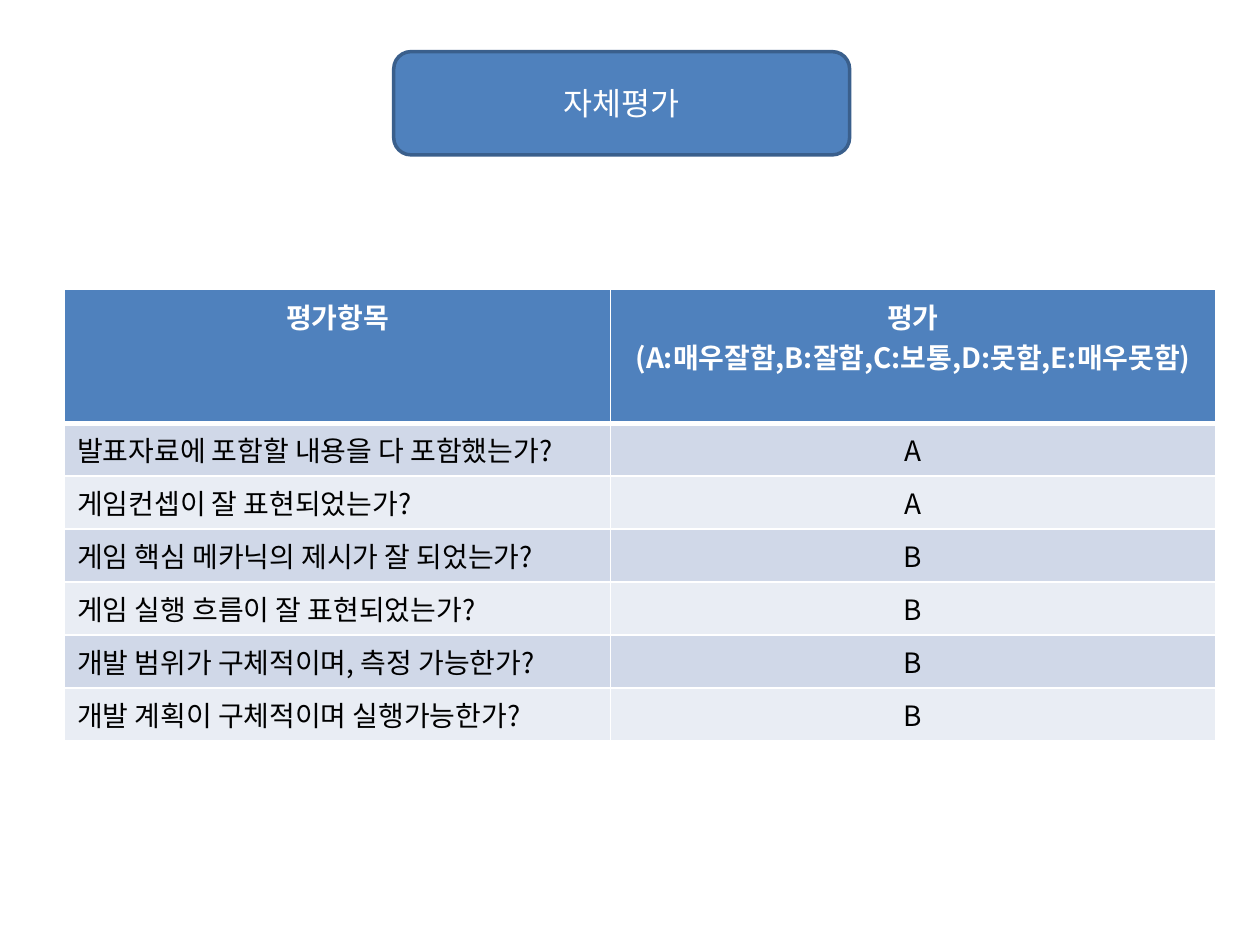
from typing import NamedTuple

from lxml.etree import SubElement
from pptx import Presentation
from pptx.dml.color import RGBColor
from pptx.enum.shapes import MSO_SHAPE
from pptx.enum.text import MSO_ANCHOR, PP_ALIGN
from pptx.oxml.ns import qn
from pptx.util import Pt

FONT_NAME = "Noto Sans CJK KR"
BLUE = RGBColor(0x4F, 0x81, 0xBD)
DARK_BLUE = RGBColor(0x3A, 0x5F, 0x8C)
BAND_DARK = RGBColor(0xD0, 0xD8, 0xE8)
BAND_LIGHT = RGBColor(0xE9, 0xED, 0xF4)
WHITE = RGBColor(0xFF, 0xFF, 0xFF)
BLACK = RGBColor(0x00, 0x00, 0x00)

COLUMN_WIDTHS = (312, 345.5)
ROW_HEIGHT = 29.5
HEADER_FORMAT = {"size": Pt(16), "bold": True}
BODY_FORMAT = {"size": Pt(16), "bold": False}
TITLE_FORMAT = {"size": Pt(18), "bold": False}


class Evaluation(NamedTuple):
    item: str
    grade: str


HEADER = Evaluation("평가항목", "평가\n(A:매우잘함,B:잘함,C:보통,D:못함,E:매우못함)")
EVALUATIONS = (
    Evaluation("발표자료에 포함할 내용을 다 포함했는가?", "A"),
    Evaluation("게임컨셉이 잘 표현되었는가?", "A"),
    Evaluation("게임 핵심 메카닉의 제시가 잘 되었는가?", "B"),
    Evaluation("게임 실행 흐름이 잘 표현되었는가?", "B"),
    Evaluation("개발 범위가 구체적이며, 측정 가능한가?", "B"),
    Evaluation("개발 계획이 구체적이며 실행가능한가?", "B"),
)


def write_text(text_frame, text: str, font_format: dict, color: RGBColor,
               alignment: PP_ALIGN) -> None:
    text_frame.text = text
    for paragraph in text_frame.paragraphs:
        paragraph.alignment = alignment
        for run in paragraph.runs:
            for name, value in {"name": FONT_NAME, **font_format}.items():
                setattr(run.font, name, value)
            run.font.color.rgb = color
            SubElement(run.font._element, qn("a:ea"), typeface=FONT_NAME)


def add_borders(cell, bottom_width: float) -> None:
    """Give the cell white borders; must run before the cell is filled."""
    properties = cell._tc.get_or_add_tcPr()
    widths = {"a:lnL": 1, "a:lnR": 1, "a:lnT": 1, "a:lnB": bottom_width}
    for tag, width in widths.items():
        line = SubElement(properties, qn(tag), w=str(Pt(width)))
        fill = SubElement(line, qn("a:solidFill"))
        SubElement(fill, qn("a:srgbClr"), val=str(WHITE))


def add_title(slide) -> None:
    shape = slide.shapes.add_shape(MSO_SHAPE.ROUNDED_RECTANGLE,
                                   Pt(225), Pt(29.5), Pt(260.5), Pt(59))
    shape.shadow.inherit = False
    shape.fill.solid()
    shape.fill.fore_color.rgb = BLUE
    shape.line.color.rgb = DARK_BLUE
    shape.line.width = Pt(2)
    shape.text_frame.vertical_anchor = MSO_ANCHOR.MIDDLE
    write_text(shape.text_frame, "자체평가", TITLE_FORMAT, WHITE, PP_ALIGN.CENTER)


def add_evaluation_table(slide) -> None:
    rows = (HEADER, *EVALUATIONS)
    table = slide.shapes.add_table(len(rows), len(COLUMN_WIDTHS), Pt(37), Pt(165.5),
                                   Pt(sum(COLUMN_WIDTHS)),
                                   Pt(ROW_HEIGHT * len(rows))).table
    for column, width in zip(table.columns, COLUMN_WIDTHS):
        column.width = Pt(width)
    for row_index, evaluation in enumerate(rows):
        table.rows[row_index].height = Pt(ROW_HEIGHT)
        is_header = row_index == 0
        band = BAND_DARK if row_index % 2 else BAND_LIGHT
        for column_index, text in enumerate(evaluation):
            cell = table.cell(row_index, column_index)
            add_borders(cell, 3 if is_header else 1)
            cell.fill.solid()
            cell.fill.fore_color.rgb = BLUE if is_header else band
            centred = is_header or column_index == 1
            write_text(cell.text_frame, text,
                       HEADER_FORMAT if is_header else BODY_FORMAT,
                       WHITE if is_header else BLACK,
                       PP_ALIGN.CENTER if centred else PP_ALIGN.LEFT)


def main() -> None:
    presentation = Presentation()
    presentation.slide_width = Pt(720)
    presentation.slide_height = Pt(540)
    slide = presentation.slides.add_slide(presentation.slide_layouts[6])
    add_evaluation_table(slide)
    add_title(slide)
    presentation.save("out.pptx")


if __name__ == "__main__":
    main()
